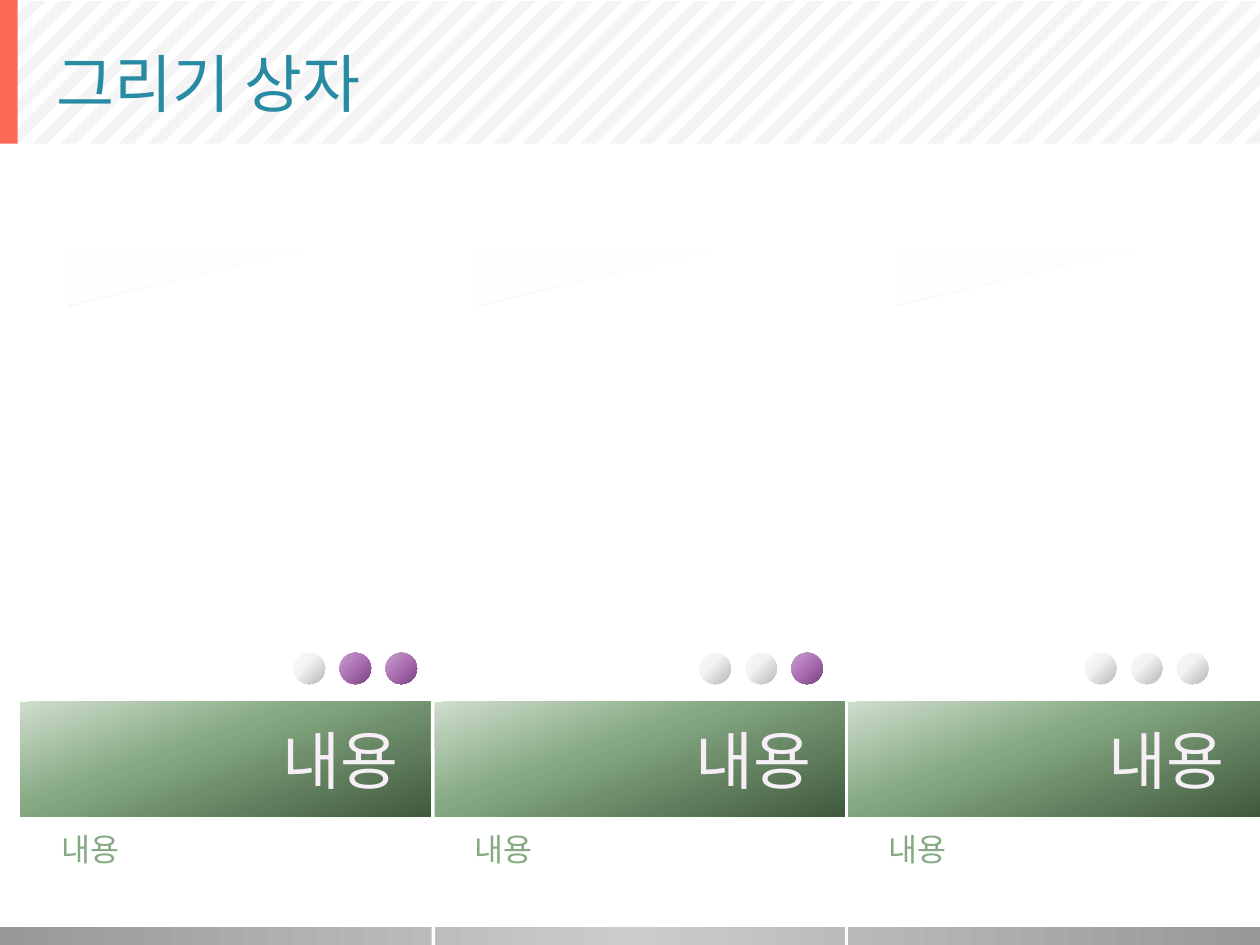
"""Build a slide of three titled panels under a striped header."""
from dataclasses import dataclass
from typing import Any

from lxml import etree
from pptx import Presentation
from pptx.dml.color import RGBColor
from pptx.enum.shapes import MSO_CONNECTOR, MSO_SHAPE
from pptx.enum.text import MSO_ANCHOR, PP_ALIGN
from pptx.oxml.ns import qn
from pptx.util import Inches, Pt

RECT, OVAL, WEDGE = MSO_SHAPE.RECTANGLE, MSO_SHAPE.OVAL, MSO_SHAPE.RIGHT_TRIANGLE
LINE = MSO_CONNECTOR.STRAIGHT
MIDDLE, TOP = MSO_ANCHOR.MIDDLE, MSO_ANCHOR.TOP
LEFT, RIGHT = PP_ALIGN.LEFT, PP_ALIGN.RIGHT

Box = tuple[float, float, float, float]
Point = tuple[float, float]


@dataclass(frozen=True)
class Blend:
    """Hold gradient stops of place, colour and opacity, with an angle."""
    stops: tuple[tuple[int, str, int], ...]
    angle: int


@dataclass(frozen=True)
class Theme:
    """Hold the colours and type sizes of the slide."""
    font: str = "Arial"
    large: int = 36
    small: int = 18
    title: str = "268BA3"
    accent: str = "FF6957"
    stripe: str = "EBEBEB"
    rule: str = "FFFFFF"
    label: str = "F6EFF6"
    body: str = "86A983"
    foot: Blend = Blend(((0, "989898", 100), (50, "CCCCCC", 100), (100, "989898", 100)), 0)
    bar: Blend = Blend(((0, "CFDDCD", 100), (40, "86A983", 100), (100, "40593D", 100)), 70)
    pale: Blend = Blend(((0, "FAFAFA", 100), (40, "F3F3F3", 100), (100, "B6B6B6", 100)), 45)
    plum: Blend = Blend(((0, "C9A1CD", 100), (50, "AB6FB3", 100), (100, "78437E", 100)), 45)
    gloss: Blend = Blend(((0, "FFFFFF", 15), (50, "FFFFFF", 30), (100, "FFFFFF", 50)), 90)


@dataclass(frozen=True)
class Panel:
    """Describe one panel by its texts, dots and gloss."""
    head: str
    text: str
    dots: float
    plums: int
    gloss: float


THEME = Theme()
PANELS = (
    Panel("내용", "내용", 2.33, 2, 1.26),
    Panel("내용", "내용", 5.55, 1, 4.51),
    Panel("내용", "내용", 8.61, 0, 7.83),
)
RULES = (((3.44, 7.5), (3.42, 1.59)), ((6.72, 7.5), (6.72, 1.59)))
WIDTH, HEIGHT = 10, 7.5
START, PITCH = 0.16, 3.28
ROOF, FLOOR = 0.01, 1.14
BANDS, STEP, THICK = 49, 0.229, 0.12
DOTS, GAP = 3, 0.365


def apply(item: Any, values: dict[str, Any]) -> None:
    """Set each named value on an item."""
    for name, value in values.items():
        setattr(item, name, value)


def fade(node: Any, amount: int) -> None:
    """Give a colour node an opacity in percent."""
    if amount < 100:
        etree.SubElement(node, qn("a:alpha"), val=str(amount * 1000))


def paint(shape: Any, fill: str | Blend) -> None:
    """Fill a shape without line or shadow."""
    shape.shadow.inherit = False
    shape.line.fill.background()
    if isinstance(fill, str):
        shape.fill.solid()
        shape.fill.fore_color.rgb = RGBColor.from_string(fill)
        return
    shape.fill.gradient()
    shape.fill.gradient_angle = -fill.angle % 360
    stops = shape._element.spPr.find(".//" + qn("a:gsLst"))
    for stop in list(stops):
        stops.remove(stop)
    for place, tint, amount in fill.stops:
        stop = etree.SubElement(stops, qn("a:gs"), pos=str(place * 1000))
        fade(etree.SubElement(stop, qn("a:srgbClr"), val=tint), amount)


def draw(slide: Any, kind: Any, box: Box, fill: str | Blend) -> Any:
    """Draw a filled preset shape."""
    shape = slide.shapes.add_shape(kind, *map(Inches, box))
    paint(shape, fill)
    return shape


def write(shape: Any, text: str, size: int, tint: str, align: Any, anchor: Any,
          inset: float = 0.1) -> None:
    """Write one styled line of text in a shape."""
    frame = shape.text_frame
    apply(frame, {"text": text, "word_wrap": True, "vertical_anchor": anchor,
                  "margin_left": Inches(0.1), "margin_right": Inches(inset),
                  "margin_top": Inches(0.05), "margin_bottom": Inches(0.05)})
    line = frame.paragraphs[0]
    line.alignment = align
    font = line.runs[0].font
    apply(font, {"name": THEME.font, "size": Pt(size)})
    font.color.rgb = RGBColor.from_string(tint)


def stripe(slide: Any, near: float) -> None:
    """Draw a slanted band cut to the header."""
    def ends(total: float) -> tuple[Point, Point]:
        """Give the low and high ends of a slanted edge."""
        low, high = max(total - FLOOR, 0), min(total - ROOF, WIDTH)
        return (low, total - low), (high, total - high)

    low, high = ends(near)
    base, peak = ends(near + THICK)
    first, *rest = [(Inches(x), Inches(y)) for x, y in (low, high, peak, base)]
    pen = slide.shapes.build_freeform(*first)
    pen.add_line_segments(rest)
    shape = pen.convert_to_shape()
    paint(shape, THEME.stripe)
    fade(shape._element.spPr.find(".//" + qn("a:srgbClr")), 52)


def header(slide: Any, text: str) -> None:
    """Draw the striped header, footer strip and title."""
    for index in range(BANDS):
        stripe(slide, 0.02 + index * STEP)
    draw(slide, RECT, (0, 7.36, 10.02, 0.14), THEME.foot)
    draw(slide, RECT, (0, 0, 0.14, 1.14), THEME.accent)
    title = slide.shapes.title
    slide.shapes._spTree.append(title._element)
    apply(title, {"left": Inches(0.35), "top": Inches(0.14),
                  "width": Inches(9.27), "height": Inches(1.03)})
    write(title, text, THEME.large, THEME.title, LEFT, MIDDLE)


def panel(slide: Any, left: float, item: Panel) -> None:
    """Draw a panel with its bar, text, dots and gloss."""
    bar = draw(slide, RECT, (left, 5.57, PITCH, 0.91), THEME.bar)
    write(bar, item.head, THEME.large, THEME.label, RIGHT, MIDDLE, 0.28)
    note = slide.shapes.add_textbox(*map(Inches, (left + 0.23, 6.54, 2.81, 0.71)))
    write(note, item.text, THEME.small, THEME.body, LEFT, TOP)
    for index in range(DOTS):
        fill = THEME.plum if index >= DOTS - item.plums else THEME.pale
        draw(slide, OVAL, (item.dots + index * GAP, 5.18, 0.25, 0.25), fill)
    draw(slide, WEDGE, (item.gloss, 1.26, 0.45, 1.88), THEME.gloss).rotation = 90


def rule(slide: Any, start: Point, end: Point) -> None:
    """Draw a line between panels."""
    line = slide.shapes.add_connector(LINE, *map(Inches, start + end))
    line.line.width = Pt(2)
    line.line.color.rgb = RGBColor.from_string(THEME.rule)
    etree.SubElement(line._element.spPr, qn("a:effectLst"))


def main() -> None:
    """Build and save the slide."""
    deck = Presentation()
    apply(deck, {"slide_width": Inches(WIDTH), "slide_height": Inches(HEIGHT)})
    slide = deck.slides.add_slide(deck.slide_layouts[5])
    header(slide, "그리기 상자")
    for index, item in enumerate(PANELS):
        panel(slide, START + index * PITCH, item)
    for start, end in RULES:
        rule(slide, start, end)
    deck.save("out.pptx")


if __name__ == "__main__":
    main()
